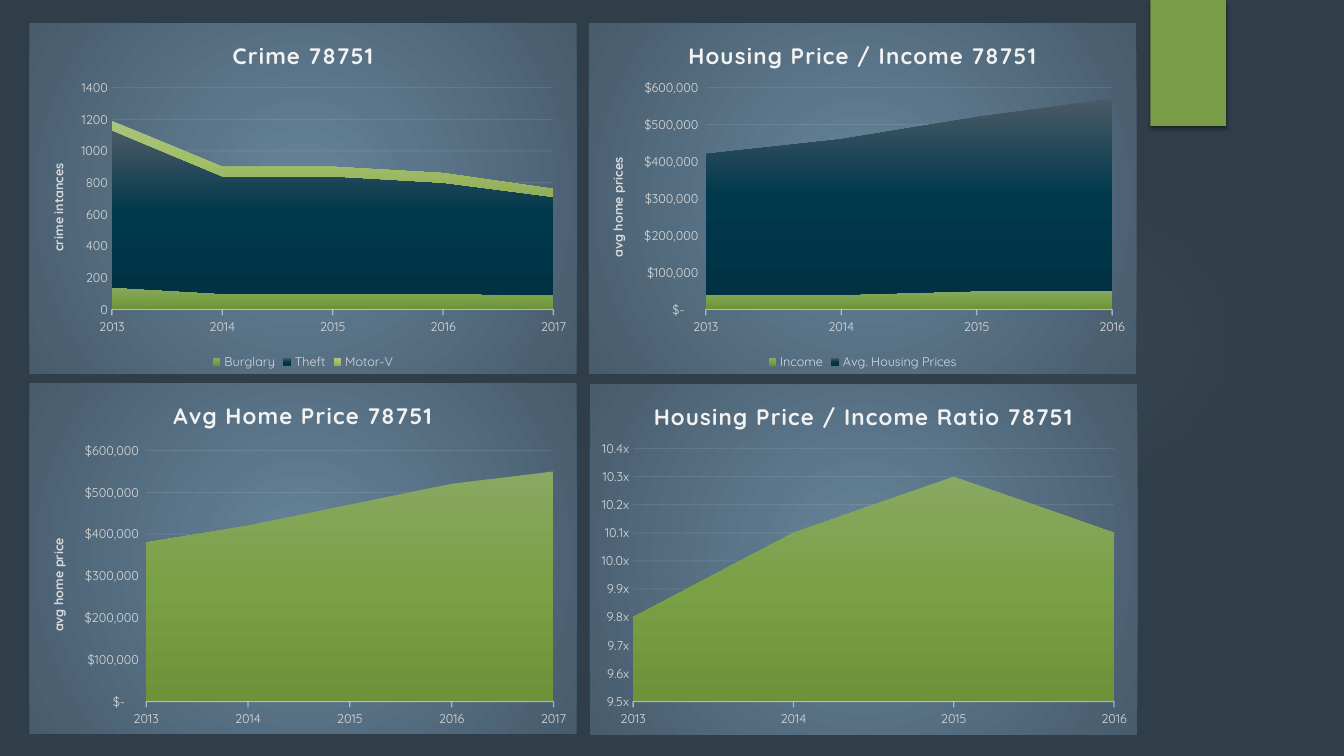
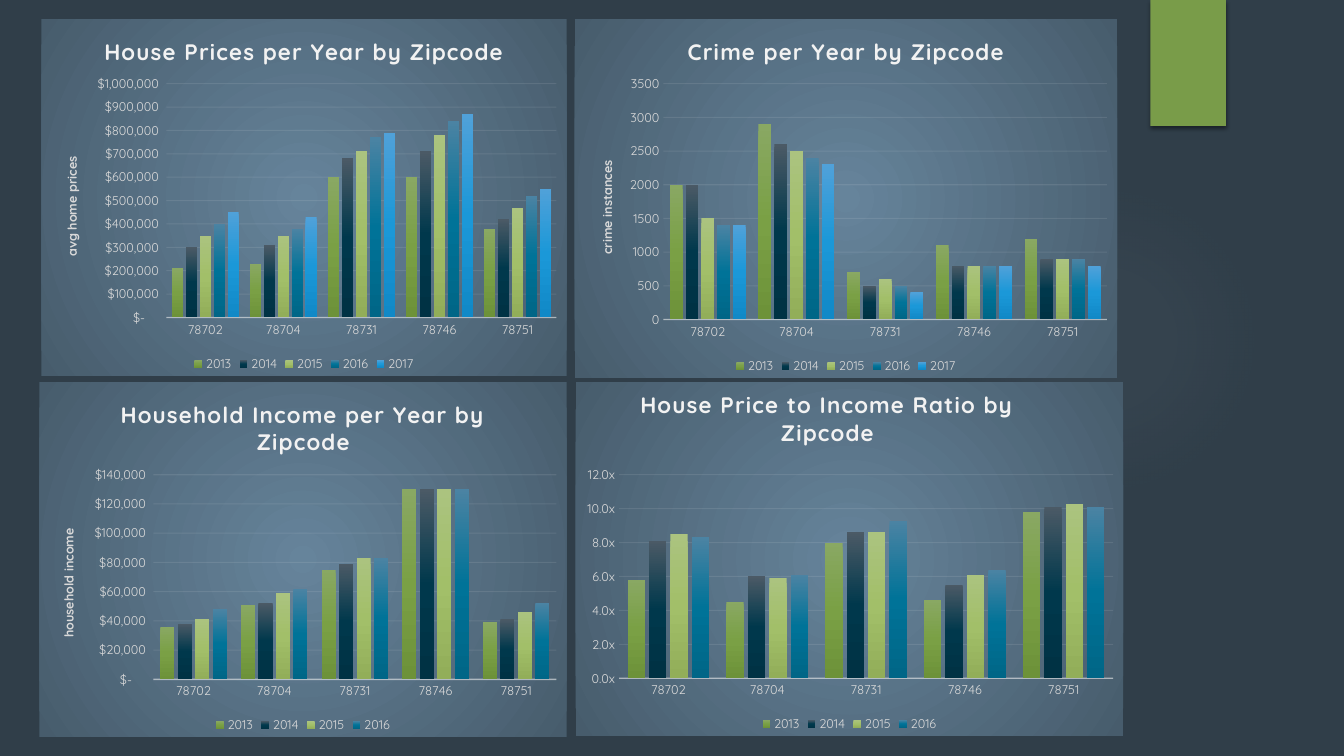
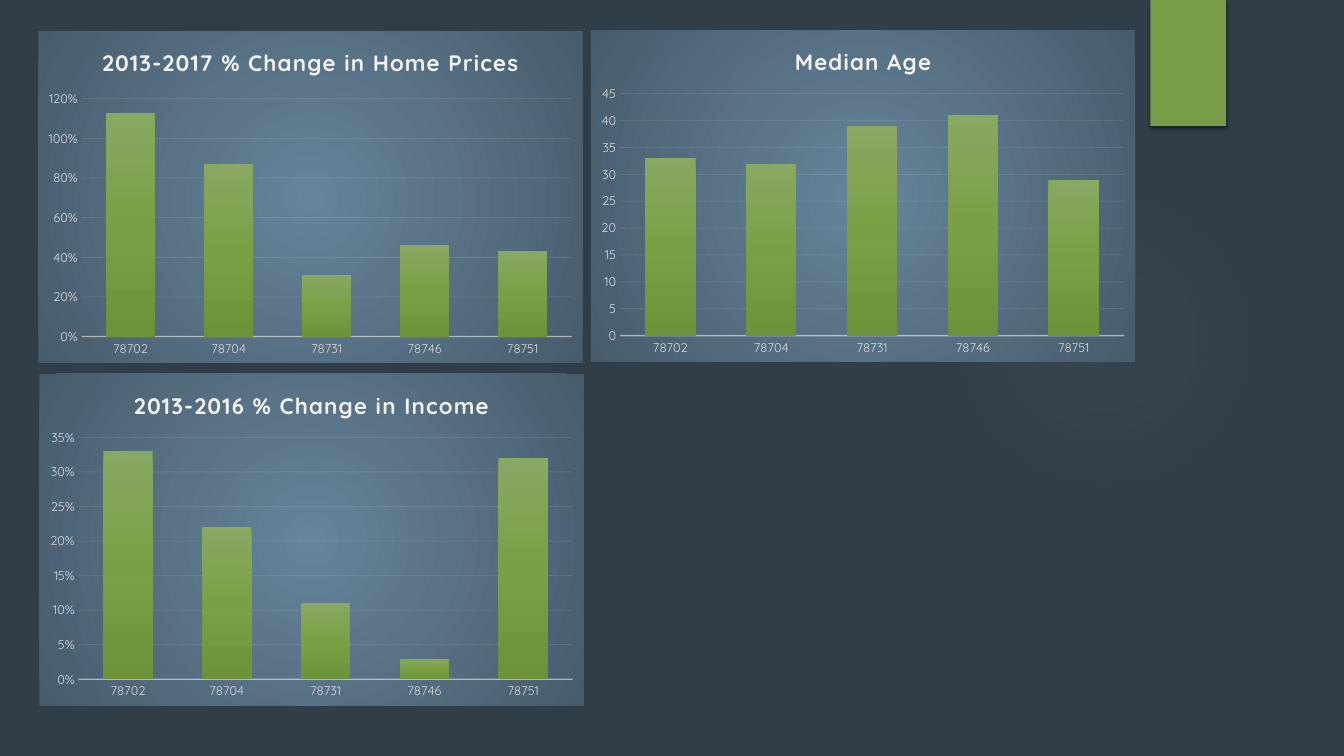
from dataclasses import dataclass

from pptx import Presentation
from pptx.chart.data import CategoryChartData as ChartData
from pptx.dml.color import RGBColor as Color
from pptx.enum.chart import XL_CHART_TYPE as Chart, XL_LEGEND_POSITION as Legend, XL_TICK_MARK as Tick
from pptx.enum.shapes import MSO_SHAPE as Shape
from pptx.oxml import parse_xml
from pptx.oxml.ns import nsdecls, qn
from pptx.util import Pt

EMU_PER_PX = 9144
DOLLARS = '_-"$"* #,##0_-;\\-"$"* #,##0_-;_-"$"* "-"??_-'
TIMES = '0.0"x"'
PERCENT = "0%"
PLAIN = "General"


@dataclass(frozen=True)
class Theme:
    font: str = "Quicksand"
    background: str = "303E49"
    accent: str = "799C49"
    bright: str = "F2F2F2"
    muted: str = "D9D9D9"
    title_size: int = 16
    label_size: int = 9
    base_size: int = 10
    panel: tuple = ((0, "66849B"), (100, "475C6C"))
    glow: tuple = ((0, "7C899A", 7), (36, "7C899A", 6), (69, "7C899A", 0))
    series: tuple = (
        ((0, "89A863"), (50, "7AA045"), (100, "6D9239")),
        ((0, "4B5A66"), (50, "00384C"), (100, "003244")),
        ((0, "ABC37F"), (50, "A2BF69"), (100, "92AE59")),
        ((0, "4B83A3"), (50, "007398"), (100, "006687")),
        ((0, "50A1D9"), (50, "1B98D8"), (100, "1189C7")),
    )


def px(*lengths):
    return [length * EMU_PER_PX for length in lengths]


def gradient(stops, radial=False):
    marks = "".join(
        f'<a:gs pos="{place * 1000}"><a:srgbClr val="{color}">'
        + "".join(f'<a:alpha val="{alpha * 1000}"/>' for alpha in opacity)
        + "</a:srgbClr></a:gs>"
        for place, color, *opacity in stops
    )
    course = '<a:lin ang="5400000" scaled="0"/>'
    if radial:
        course = '<a:path path="circle"><a:fillToRect l="50000" t="50000" r="50000" b="50000"/></a:path>'
    return parse_xml(f'<a:gradFill {nsdecls("a")} rotWithShape="1"><a:gsLst>{marks}</a:gsLst>{course}</a:gradFill>')


def place_inside(parent, index, target, box):
    left, top, width, height = box
    parts = [(target[0] - left) / width, (target[1] - top) / height]
    parts += [length / whole for length, whole in zip(target[2:], (width, height))]
    inner = '<c:layoutTarget val="inner"/>' if len(parts) == 4 else ""
    modes = '<c:xMode val="edge"/><c:yMode val="edge"/>'
    sizes = "".join(f'<c:{name} val="{part:.4f}"/>' for name, part in zip("xywh", parts))
    for layout in parent.findall(qn("c:layout")):
        parent.remove(layout)
    parent.insert(index, parse_xml(
        f'<c:layout {nsdecls("c")}><c:manualLayout>{inner}{modes}{sizes}</c:manualLayout></c:layout>'))


class Dashboard:
    def __init__(self, theme):
        self.theme = theme
        self.deck = Presentation()
        self.deck.slide_width, self.deck.slide_height = px(1333, 750)
        fill = self.deck.slide_master.background.fill
        fill.solid()
        fill.fore_color.rgb = Color.from_string(theme.background)
        self.page = None

    def add_page(self):
        self.page = self.deck.slides.add_slide(self.deck.slide_layouts[6])
        glow = self.shape(Shape.OVAL, (941, 183, 308, 308))
        glow.element.spPr.find(qn("a:prstGeom")).addnext(gradient(self.theme.glow, True))
        band = self.shape(Shape.RECTANGLE, (1141, 0, 75, 125))
        band.fill.solid()
        band.fill.fore_color.rgb = Color.from_string(self.theme.accent)
        band.element.spPr.find(qn("a:effectLst")).append(parse_xml(
            f'<a:outerShdw {nsdecls("a")} blurRad="38100" dist="25400" dir="5400000" rotWithShape="0">'
            '<a:srgbClr val="000000"><a:alpha val="45000"/></a:srgbClr></a:outerShdw>'))

    def shape(self, kind, box):
        shape = self.page.shapes.add_shape(kind, *px(*box))
        shape.line.fill.background()
        shape.shadow.inherit = False
        return shape

    def style(self, font, size, color, bold=False):
        font.name = self.theme.font
        font.size = Pt(size)
        font.bold = bold
        font.color.rgb = Color.from_string(color)

    def heading(self, title, text, size, color, spacing=0):
        span = title.text_frame.paragraphs[0].add_run()
        span.text = text
        self.style(span.font, size, color, True)
        span.font._element.set("spc", str(spacing))

    def faint_line(self, line, width, alpha):
        line.width = Pt(width)
        line.color.rgb = Color.from_string(self.theme.bright)
        tint = line._get_or_add_ln().find(".//" + qn("a:srgbClr"))
        tint.append(parse_xml(f'<a:alpha {nsdecls("a")} val="{alpha * 1000}"/>'))

    def chart(self, kind, box, plot_box, title, categories, series, scale,
              number_format=PLAIN, axis_title=None, title_at=None):
        theme = self.theme
        data = ChartData()
        data.categories = categories
        for name, values in series.items():
            data.add_series(name, values)
        chart = self.page.shapes.add_chart(kind, *px(*box), data).chart
        self.style(chart.font, theme.base_size, "FFFFFF")
        panel = parse_xml(f'<c:spPr {nsdecls("c", "a")}><a:ln><a:noFill/></a:ln></c:spPr>')
        panel.insert(0, gradient(theme.panel, True))
        chart.element.find(qn("c:chart")).addnext(panel)
        chart.has_title = True
        chart.chart_title.include_in_layout = False
        self.heading(chart.chart_title, title, theme.title_size, theme.bright, 100)
        if title_at:
            place_inside(chart.chart_title._element, 1, title_at, box)
        place_inside(chart.element.find(".//" + qn("c:plotArea")), 0, plot_box, box)
        chart.has_legend = len(series) > 1
        if chart.has_legend:
            chart.legend.position = Legend.BOTTOM
            chart.legend.include_in_layout = False
            self.style(chart.legend.font, theme.label_size, theme.muted)
        self.axes(chart, kind, scale, number_format, axis_title)
        plot = chart.plots[0]
        plot.vary_by_categories = False
        if kind == Chart.COLUMN_CLUSTERED:
            plot.gap_width = 100
            plot.overlap = -24
        for item, stops in zip(plot.series, theme.series):
            item._element.get_or_add_spPr().append(gradient(stops))
            item.format.line.fill.background()

    def axes(self, chart, kind, scale, number_format, axis_title):
        theme = self.theme
        area = kind == Chart.AREA_STACKED
        across, upright = chart.category_axis, chart.value_axis
        for axis in (across, upright):
            axis.major_tick_mark = axis.minor_tick_mark = Tick.NONE
            self.style(axis.tick_labels.font, theme.label_size, theme.muted)
        across.major_tick_mark = Tick.OUTSIDE if area else Tick.NONE
        across.has_major_gridlines = False
        self.faint_line(across.format.line, 1, 54)
        upright.minimum_scale, upright.maximum_scale, upright.major_unit = scale
        upright.format.line.fill.background()
        upright.has_major_gridlines = True
        self.faint_line(upright.major_gridlines.format.line, 0.75, 10)
        upright.tick_labels.number_format = number_format
        upright.tick_labels.number_format_is_linked = False
        if area:
            upright._element.find(qn("c:crossBetween")).set("val", "midCat")
        if axis_title:
            self.heading(upright.axis_title, axis_title, theme.label_size, theme.muted)
            body = upright.axis_title.text_frame._txBody.bodyPr
            body.set("rot", "-5400000")
            body.set("vert", "horz")

    def areas(self, *details):
        self.chart(Chart.AREA_STACKED, *details)

    def columns(self, box, plot_box, title, *details, title_at=None):
        zipcodes = ["78702", "78704", "78731", "78746", "78751"]
        self.chart(Chart.COLUMN_CLUSTERED, box, plot_box, title, zipcodes, *details, title_at=title_at)


def by_year(*rows):
    return {str(2013 + index): row for index, row in enumerate(rows)}


def single(*values):
    return {"Series 1": values}


def neighborhood_page(board):
    years = ["2013", "2014", "2015", "2016", "2017"]
    prices = (380000, 420000, 470000, 520000, 550000)
    dollars = (0, 600000, 100000)
    board.add_page()
    board.areas((29, 23, 543, 348), (111, 87, 438, 220), "Crime 78751", years, {
        "Burglary": (140, 100, 100, 100, 90),
        "Theft": (990, 740, 740, 700, 620),
        "Motor-V": (60, 60, 60, 60, 50),
    }, (0, 1400, 200), PLAIN, "crime intances")
    board.areas((29, 380, 543, 348), (145, 447, 404, 249), "Avg Home Price 78751", years,
                single(*prices), dollars, DOLLARS, "avg home price")
    board.areas((584, 23, 543, 348), (700, 87, 403, 220), "Housing Price / Income 78751", years[:4], {
        "Income": (40000, 40000, 50000, 50000),
        "Avg. Housing Prices": prices[:4],
    }, dollars, DOLLARS, "avg home prices")
    board.areas((585, 381, 543, 348), (628, 445, 477, 251), "Housing Price / Income Ratio 78751",
                years[:4], single(9.8, 10.1, 10.3, 10.1), (9.5, 10.4, 0.1), TIMES)


def yearly_page(board):
    board.add_page()
    board.columns((41, 19, 521, 354), (165, 83, 387, 232), "House Prices per Year by Zipcode", by_year(
        (210000, 230000, 600000, 600000, 380000),
        (300000, 310000, 680000, 710000, 420000),
        (350000, 350000, 710000, 780000, 470000),
        (400000, 380000, 770000, 840000, 520000),
        (450000, 430000, 790000, 870000, 550000),
    ), (0, 1000000, 100000), DOLLARS, "avg home prices")
    board.columns((570, 19, 538, 356), (658, 83, 440, 234), "Crime per Year by Zipcode", by_year(
        (2000, 2900, 700, 1100, 1200),
        (2000, 2600, 500, 800, 900),
        (1500, 2500, 600, 800, 900),
        (1400, 2400, 500, 800, 900),
        (1400, 2300, 400, 800, 800),
    ), (0, 3500, 500), PLAIN, "crime instances")
    board.columns((39, 379, 523, 352), (152, 471, 400, 203), "Household Income per Year by Zipcode", by_year(
        (36000, 51000, 75000, 130000, 39000),
        (38000, 52000, 79000, 130000, 41000),
        (41000, 59000, 83000, 130000, 46000),
        (48000, 62000, 83000, 130000, 52000),
    ), (0, 140000, 20000), DOLLARS, "household income")
    board.columns((571, 379, 543, 351), (614, 471, 490, 202), "House Price to Income Ratio by Zipcode", by_year(
        (5.8, 4.5, 8, 4.6, 9.8),
        (8.1, 6, 8.6, 5.5, 10.1),
        (8.5, 5.9, 8.6, 6.1, 10.3),
        (8.3, 6.1, 9.3, 6.4, 10.1),
    ), (0, 12, 2), TIMES, title_at=(631, 382))


def change_page(board):
    board.add_page()
    board.columns((38, 31, 540, 329), (81, 98, 486, 236), "2013-2017 % Change in Home Prices",
                  single(1.13, 0.87, 0.31, 0.46, 0.43), (0, 1.2, 0.2), PERCENT)
    board.columns((39, 371, 540, 329), (78, 434, 490, 240), "2013-2016 % Change in Income",
                  single(0.33, 0.22, 0.11, 0.03, 0.32), (0, 0.35, 0.05), PERCENT)
    board.columns((586, 30, 540, 329), (615, 93, 500, 240), "Median Age",
                  single(33, 32, 39, 41, 29), (0, 45, 5))


def main():
    board = Dashboard(Theme())
    neighborhood_page(board)
    yearly_page(board)
    change_page(board)
    board.deck.save("out.pptx")


if __name__ == "__main__":
    main()
